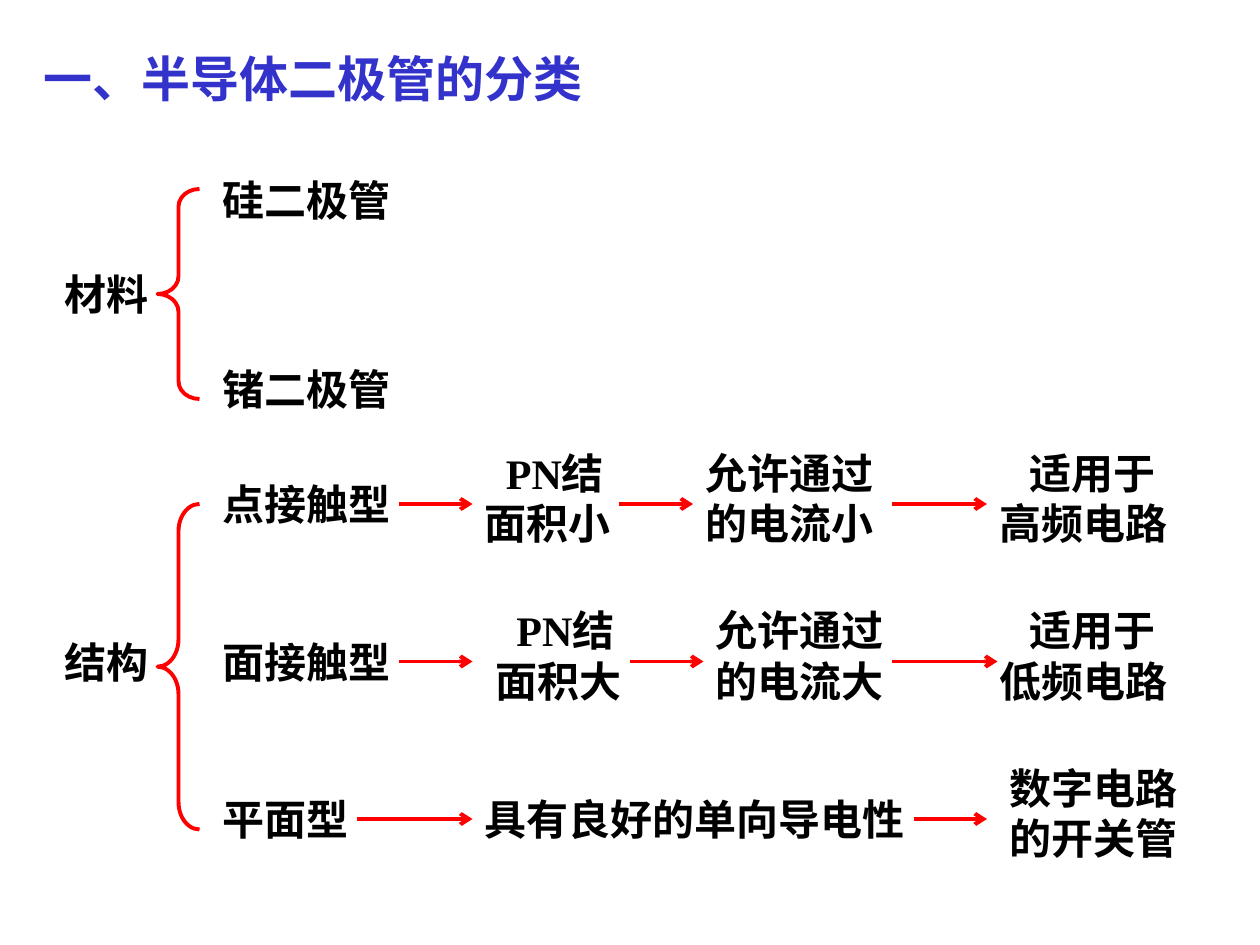
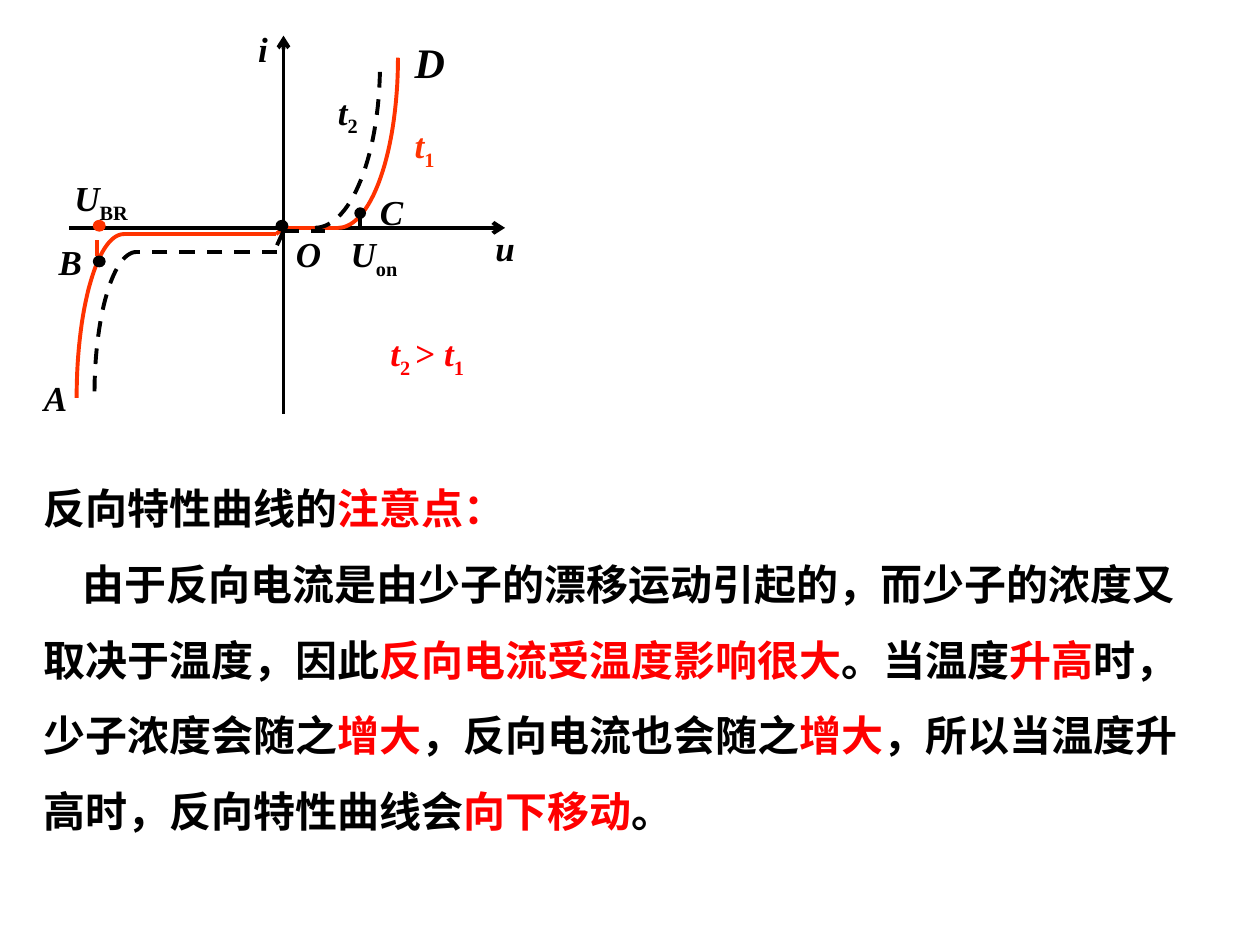
from math import sin, cos, pi

from lxml.etree import SubElement
from pptx import Presentation
from pptx.dml.color import RGBColor as Rgb
from pptx.enum.dml import MSO_LINE as Dash
from pptx.enum.shapes import MSO_CONNECTOR as Link, MSO_SHAPE as Shape
from pptx.enum.text import MSO_AUTO_SIZE as Fit
from pptx.oxml.ns import qn
from pptx.util import Pt

PX = 7620
BLACK, RED, BLUE, FLAME = "000000", "FF0000", "3333CC", "FF3300"
LATIN, ASIAN = "Times New Roman", "Noto Sans CJK SC"


def px(*sizes):
    return [round(size * PX) for size in sizes]


def color(code):
    return Rgb.from_string(code)


def write(slide, x, y, w, h, paras, size=24, indent=0, space=None):
    box = slide.shapes.add_textbox(*px(x, y, w, h))
    frame = box.text_frame
    frame.word_wrap = True
    frame.auto_size = Fit.SHAPE_TO_FIT_TEXT
    for num, parts in enumerate(paras):
        para = frame.add_paragraph() if num else frame.paragraphs[0]
        if space:
            para.line_spacing = space
        if indent and num == len(paras) - 1:
            para._p.get_or_add_pPr().set("indent", str(Pt(indent)))
        for text, code, style in parts:
            run = para.add_run()
            run.text = text
            font = run.font
            font.size, font.bold, font.name = Pt(size), True, LATIN
            font.italic = "i" in style
            font.color.rgb = color(code)
            props = run._r.get_or_add_rPr()
            SubElement(props, qn("a:ea"), typeface=ASIAN)
            if "s" in style:
                props.set("baseline", "-25000")
    return box


def plain(slide, x, y, w, h, text, code=BLACK, **look):
    return write(slide, x, y, w, h, [[(text, code, "")]], **look)


def stroke(shape, code, dash=False):
    shape.line.color.rgb = color(code)
    shape.line.width = Pt(2.25)
    if dash:
        shape.line.dash_style = Dash.DASH


def line(slide, x, y, ends, code, dash=False, head=None, tail=None):
    a, b, c, d = ends
    rule = slide.shapes.add_connector(Link.STRAIGHT, *px(x + a, y + b, x + c, y + d))
    stroke(rule, code, dash)
    SubElement(rule._element.spPr, qn("a:effectLst"))
    pen = rule.line._get_or_add_ln()
    for tag, kind in (("a:headEnd", head), ("a:tailEnd", tail)):
        if kind:
            SubElement(pen, qn(tag), type=kind)
    return rule


def curve(slide, x, y, ends, code, dash=False, steps=30):
    a, b, c, d = ends
    turns = [pi / 2 * n / steps for n in range(steps + 1)]
    dots = [px(x + a + (c - a) * sin(t), y + b + (d - b) * (1 - cos(t))) for t in turns]
    path = slide.shapes.build_freeform(*dots[0], scale=1.0)
    path.add_line_segments(dots[1:], close=False)
    shape = path.convert_to_shape()
    shape.shadow.inherit = False
    shape.fill.background()
    stroke(shape, code, dash)


def dot(slide, x, y, code):
    shape = slide.shapes.add_shape(Shape.OVAL, *px(x, y, 11, 10))
    shape.shadow.inherit = False
    shape.fill.solid()
    shape.fill.fore_color.rgb = color(code)
    shape.line.color.rgb = color(code)
    shape.line.width = Pt(0.75)


def tree(slide, x, y, label, kinds, gap, top, tall, bend):
    plain(slide, x, y + gap * (len(kinds) - 1) / 2, 110, 60, label)
    brace = slide.shapes.add_shape(Shape.LEFT_BRACE, *px(x + 100, y + top, 40, tall))
    brace.shadow.inherit = False
    brace.fill.background()
    brace.adjustments[0] = bend
    stroke(brace, RED)
    for num, kind in enumerate(kinds):
        plain(slide, x + 150, y + num * gap, 200, 60, kind)


def chain(slide, x, y, steps, arrows):
    boxes = []
    for left, wide, rows, text, indent in steps:
        tall = 108 if rows == 2 else 60
        boxes.append(plain(slide, x + left, y - 30 * rows, wide, tall, text, indent=indent))
    for start, stop in arrows:
        arrow = line(slide, x, y, (start, 0, stop, 0), RED, tail="arrow")
        for box in boxes:
            if (arrow.end_x, arrow.end_y) == (box.left, box.top + box.height // 2):
                arrow.end_connect(box, 1)


def plot(slide, x, y):
    line(slide, x, y, (36, 197, 451, 197), BLACK, tail="arrow")
    line(slide, x, y, (240, 374, 240, 14), BLACK, tail="arrow")
    for code, dash, lines, curves in (
        (FLAME, False,
         [(240, 197, 292, 197), (240, 197, 233, 203), (233, 203, 88, 203)],
         [(292, 197, 349, 35), (88, 203, 43, 359)]),
        (BLACK, True,
         [(240, 200, 230, 222), (234, 220, 100, 220), (240, 200, 280, 200)],
         [(270, 197, 332, 41), (100, 220, 60, 356)]),
    ):
        for ends in lines:
            line(slide, x, y, ends, code, dash)
        for ends in curves:
            curve(slide, x, y, ends, code, dash)
    line(slide, x, y, (62, 224, 62, 190), FLAME, True)
    line(slide, x, y, (313, 183, 313, 197), BLACK, head="oval")
    for left, top, code in ((59, 224, BLACK), (233, 190, BLACK), (59, 190, FLAME)):
        dot(slide, x + left, y + top, code)
    for left, top, wide, name, sub, code, size in (
        (430, 190, 80, "u", "", BLACK, 20),
        (204, 0, 80, "i", "", BLACK, 20),
        (240, 196, 58, "O", "", BLACK, 20),
        (320, 156, 66, "C", "", BLACK, 20),
        (14, 203, 66, "B", "", BLACK, 20),
        (0, 333, 66, "A", "", BLACK, 20),
        (353, 9, 74, "D", "", BLACK, 24),
        (29, 142, 95, "U", "BR", BLACK, 20),
        (292, 196, 95, "U", "on", BLACK, 20),
        (353, 92, 52, "t", "1", FLAME, 20),
        (280, 60, 65, "t", "2", BLACK, 20),
    ):
        parts = [(name, code, "i")] + ([(sub, code, "s")] if sub else [])
        tall = 58 if sub else 53 if size == 20 else 60
        write(slide, x + left, y + top, wide, tall, [parts], size)
    order = [("t", "i"), ("2 ", "s"), ("> ", ""), ("t", "i"), ("1", "s")]
    write(slide, x + 330, y + 290, 133, 58, [[(text, RED, style) for text, style in order]], 20)


def notes(slide, x, y, w, h):
    texts = [
        ["反向特性曲线的", "注意点："],
        ["由于反向电流是由少子的漂移运动引起的，而少子的浓度又取决于温度，因此",
         "反向电流受温度影响很大", "。当温度", "升高", "时，少子浓度会随之", "增大",
         "，反向电流也会随之", "增大", "，所以当温度升高时，反向特性曲线会", "向下移动", "。"],
    ]
    paras = [[(text, RED if n % 2 else BLACK, "") for n, text in enumerate(parts)]
             for parts in texts]
    write(slide, x, y, w, h, paras, indent=22, space=1.5)


def types(slide):
    plain(slide, 30, 40, 550, 68, "一、半导体二极管的分类", BLUE, size=28)
    tree(slide, 50, 160, "材料", ["硅二极管", "锗二极管"], 180, 20, 200, 0.42)
    tree(slide, 50, 450, "结构", ["点接触型", "面接触型", "平面型"], 150, 30, 310, 0.65)
    for num, (shift, stop, size, band) in enumerate(((0, 600, "小", "高"), (10, 610, "大", "低"))):
        chain(slide, 340, 480 + 150 * num, [
            (110 + shift, 150, 2, "PN结面积" + size, 12),
            (320 + shift, 200, 2, "允许通过的电流" + size, 0),
            (600, 190, 2, f"适用于{band}频电路", 17),
        ], [(40, 110), (250 + shift, 320 + shift), (510, stop)])
    chain(slide, 340, 780, [
        (110, 460, 1, "具有良好的单向导电性", 0),
        (610, 210, 2, "数字电路的开关管", 0),
    ], [(0, 110), (530, 600)])


def traits(slide):
    notes(slide, 30, 430, 1130, 372)
    plot(slide, 30, 20)


def main():
    deck = Presentation()
    deck.slide_width, deck.slide_height = px(1200, 900)
    for build in (types, traits):
        build(deck.slides.add_slide(deck.slide_layouts[6]))
    deck.save("out.pptx")


if __name__ == "__main__":
    main()
